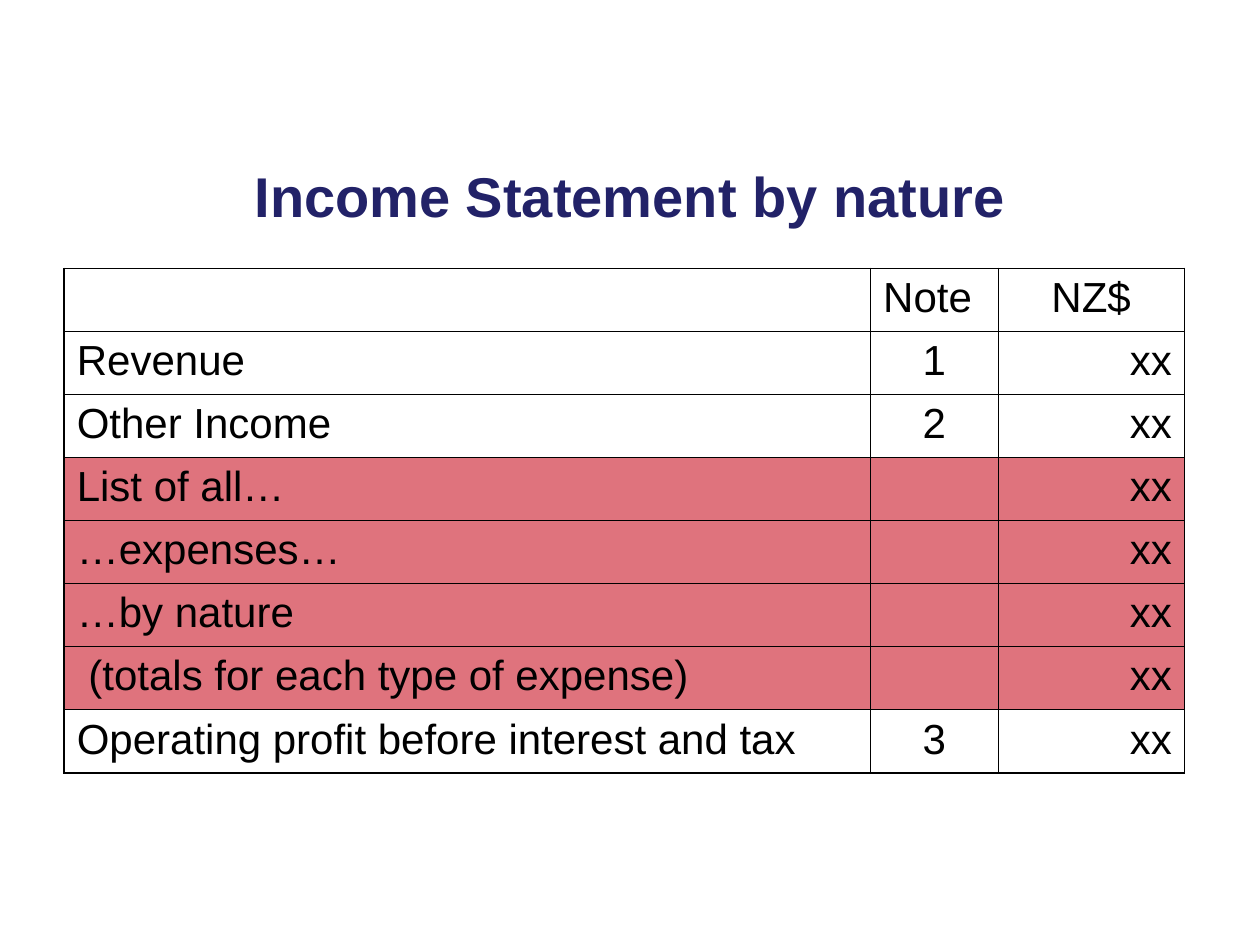
from dataclasses import dataclass

from lxml import etree
from pptx import Presentation
from pptx.dml.color import RGBColor
from pptx.enum.text import MSO_ANCHOR, PP_ALIGN
from pptx.oxml.ns import qn
from pptx.util import Inches, Pt

LEFT, CENTER, RIGHT = PP_ALIGN.LEFT, PP_ALIGN.CENTER, PP_ALIGN.RIGHT

TITLE = "Income Statement by nature"
HEADER = ("", "Note", "NZ$")
# label, note, amount, highlighted
LINES = [
    ("Revenue", "1", "xx", False),
    ("Other Income", "2", "xx", False),
    ("List of all…", "", "xx", True),
    ("…expenses…", "", "xx", True),
    ("…by nature", "", "xx", True),
    (" (totals for each type of expense)", "", "xx", True),
    ("Operating profit before interest and tax", "3", "xx", False),
]


@dataclass(frozen=True)
class Theme:
    font: str = "Arial"
    title_size: int = 32
    cell_size: int = 24
    space_before: int = 6
    title: str = "222268"
    text: str = "000000"
    border: str = "000000"
    paper: str = "FFFFFF"
    highlight: str = "DF737D"
    outer: float = 1.08
    inner: float = 0.45


THEME = Theme()
SLIDE_W, SLIDE_H = 10, 7.5
TITLE_BOX = (0.5, 0.92, 9, 1.25)
TABLE_X, TABLE_Y = 0.51, 2.13
COL_WIDTHS = (6.4, 1.01, 1.48)
ROW_H = 0.5
HEADER_ALIGN = (LEFT, LEFT, CENTER)
LINE_ALIGN = (LEFT, CENTER, RIGHT)


def fill_solid(target, color):
    target.fill.solid()
    target.fill.fore_color.rgb = RGBColor.from_string(color)


def write(tf, text, size, color, align, bold=False):
    p = tf.paragraphs[0]
    p.text = text
    p.alignment = align
    p.font.name = THEME.font
    p.font.size = Pt(size)
    p.font.bold = bold
    p.font.color.rgb = RGBColor.from_string(color)
    return p


def draw_borders(cell, widths):
    """Add border lines; widths maps L, R, T, B (in that order) to points."""
    tc_pr = cell._tc.get_or_add_tcPr()
    for side, width in widths.items():
        ln = etree.SubElement(tc_pr, qn(f"a:ln{side}"), w=str(Pt(width)))
        solid = etree.SubElement(ln, qn("a:solidFill"))
        etree.SubElement(solid, qn("a:srgbClr"), val=THEME.border)


def add_title(s):
    sp = s.shapes.add_textbox(*map(Inches, TITLE_BOX))
    fill_solid(sp, THEME.paper)
    tf = sp.text_frame
    tf.word_wrap = True
    tf.vertical_anchor = MSO_ANCHOR.MIDDLE
    write(tf, TITLE, THEME.title_size, THEME.title, CENTER, bold=True)


def add_statement(s):
    rows = [(HEADER, HEADER_ALIGN, THEME.paper)]
    for *texts, highlighted in LINES:
        rows.append((texts, LINE_ALIGN, THEME.highlight if highlighted else THEME.paper))
    n_rows, n_cols = len(rows), len(COL_WIDTHS)
    table = s.shapes.add_table(
        n_rows, n_cols, Inches(TABLE_X), Inches(TABLE_Y),
        Inches(sum(COL_WIDTHS)), Inches(ROW_H * n_rows)).table
    table.first_row = table.horz_banding = False
    for column, width in zip(table.columns, COL_WIDTHS):
        column.width = Inches(width)

    for r, (texts, aligns, color) in enumerate(rows):
        for c, (text, align) in enumerate(zip(texts, aligns)):
            cell = table.cell(r, c)
            on_edge = {"L": c == 0, "R": c == n_cols - 1,
                       "T": r == 0, "B": r == n_rows - 1}
            draw_borders(cell, {side: THEME.outer if edge else THEME.inner
                                for side, edge in on_edge.items()})
            fill_solid(cell, color)
            p = write(cell.text_frame, text, THEME.cell_size, THEME.text, align)
            p.space_before = Pt(THEME.space_before)


def main():
    prs = Presentation()
    prs.slide_width, prs.slide_height = Inches(SLIDE_W), Inches(SLIDE_H)
    s = prs.slides.add_slide(prs.slide_layouts[6])
    add_title(s)
    add_statement(s)
    prs.save("out.pptx")


if __name__ == "__main__":
    main()
